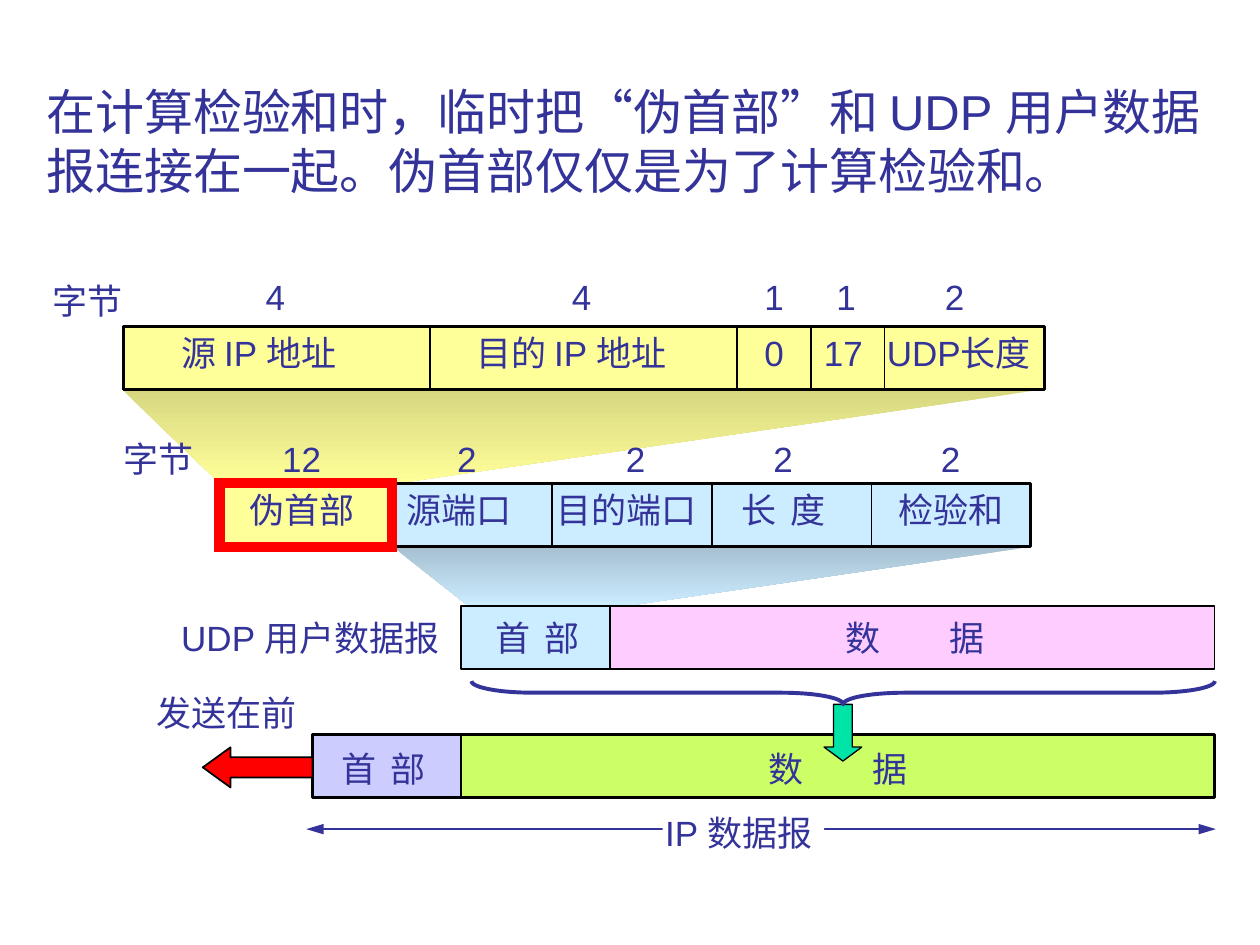
"""Build the slide on the UDP pseudo header and its place in an IP datagram."""
from pptx import Presentation
from pptx.dml.color import RGBColor
from pptx.enum import dml, shapes, text
from pptx.oxml import parse_xml
from pptx.oxml.ns import nsdecls, qn
from pptx.util import Pt

INK, BLACK = "333399", "000000"
YELLOW, BLUE = "FFFF99", "CCECFF"
SHAPE = shapes.MSO_SHAPE

TITLE = [
    ("在计算检验和时，临时把“伪首部”和 UDP 用户数据报连接在一起。", "Arial"),
    ("伪首部仅仅是为了计算检验和。", "Lato"),
]
ROW_H = 36
PSEUDO_TOP, UDP_TOP, USER_TOP, IP_TOP = 186.5, 276.5, 346.3, 419.8
PSEUDO_LEFT, PSEUDO_W = 70.5, 526.3
UDP_LEFT, UDP_W, UDP_CELL = 224, 365, 91.4
NARROW_GAP, WIDE_GAP = 3.5, 35
SLACK = 2

BANDS = [
    (178.6, IP_TOP, 85, "CCCCFF", 1.5),
    (263.5, USER_TOP, 85, BLUE, 1),
    (UDP_LEFT, UDP_TOP, UDP_W, BLUE, 1.5),
    (263.5, IP_TOP, 430.6, "CCFF66", 1.5),
    (PSEUDO_LEFT, PSEUDO_TOP, PSEUDO_W, YELLOW, 1.5),
    (348.5, USER_TOP, 345.6, "FFCCFF", 1),
]
FUNNELS = [
    ([(224.6, 312.5), (589, 312.5), (357.8, 346.3), (267.8, 346.3)], "A6C0D0", BLUE),
    ([(69.8, 222.5), (596.2, 222.5), (224.6, 276.5), (126, 276.5)], "D7D781", YELLOW),
]
DIVIDERS = {
    PSEUDO_TOP: [245.7, 421.2, 463.5, 505.5],
    UDP_TOP: [UDP_LEFT + UDP_CELL * i for i in (1, 2, 3)],
}
LABELS = {
    154.1: [("4", 144.7, 25.2), ("4", 319.7, 25.2), ("1", 429.8, 25.2),
            ("1", 470.9, 25.2), ("2", 532.8, 25.2)],
    156.2: [("字节", 23, 54.4)],
    185.8: [("源 IP 地址", 96.5, 113), ("目的 IP 地址", 265, 133.2), ("0", 429.8, 25.2),
            ("17", 463.7, 36.7), ("UDP长度", 499.7, 101.5)],
    246.6: [("字节", 63.4, 54.4), ("12", 154.1, 36.7), ("2", 254.2, 25.2),
            ("2", 350.6, 25.2), ("2", 434.9, 25.2), ("2", 530.6, 25.2)],
    275.8: [("伪首部", 135.4, 74.4), ("源端口", 225.4, 74.4), ("目的端口", 311, 94.4),
            ("长 度", 416.9, 63.6, NARROW_GAP), ("检验和", 506.2, 74.4)],
    348.8: [("UDP 用户数据报", 96.5, 167), ("首 部", 275.8, 63.6, NARROW_GAP),
            ("数 据", 475.9, 95, WIDE_GAP)],
    391.7: [("发送在前", 82.1, 94.4)],
    423.4: [("首 部", 187.9, 63.6, NARROW_GAP), ("数 据", 432, 95, WIDE_GAP)],
    460.1: [("IP 数据报", 373, 103.7)],
}

prs = Presentation()
prs.slide_width, prs.slide_height = Pt(720), Pt(540)
s = prs.slides.add_slide(prs.slide_layouts[6])


def rgb(color):
    return RGBColor.from_string(color)


def paint(sp, fill=None, line=None, width=1.0):
    sp.shadow.inherit = False
    if fill:
        sp.fill.solid()
        sp.fill.fore_color.rgb = rgb(fill)
    else:
        sp.fill.background()
    if line:
        sp.line.color.rgb = rgb(line)
        sp.line.width = Pt(width)
    else:
        sp.line.fill.background()


def add_box(kind, x, y, w, h, fill=None, line=None, width=1.0):
    sp = s.shapes.add_shape(kind, Pt(x), Pt(y), Pt(w), Pt(h))
    paint(sp, fill, line, width)
    return sp


def add_outline(points, close):
    corners = [(Pt(x), Pt(y)) for x, y in points]
    builder = s.shapes.build_freeform(*corners[0], scale=1.0)
    builder.add_line_segments(corners[1:], close=close)
    return builder.convert_to_shape()


def add_line(x1, y1, x2, y2, color, arrows=False):
    line = s.shapes.add_connector(
        shapes.MSO_CONNECTOR.STRAIGHT, Pt(x1), Pt(y1), Pt(x2), Pt(y2))
    line.line.color.rgb = rgb(color)
    line.line.width = Pt(0.75)
    if arrows:
        ln = line.line._get_or_add_ln()
        for end in ("headEnd", "tailEnd"):
            ln.append(parse_xml(f'<a:{end} {nsdecls("a")} type="triangle" len="lg"/>'))
    line._element.spPr.append(parse_xml(f'<a:effectLst {nsdecls("a")}/>'))


def add_text(runs, x, y, w, h, size, wrap=False, gap=0):
    tf = s.shapes.add_textbox(Pt(x), Pt(y), Pt(w), Pt(h)).text_frame
    tf.word_wrap = wrap
    tf.auto_size = text.MSO_AUTO_SIZE.SHAPE_TO_FIT_TEXT
    p = tf.paragraphs[0]
    for words, font in runs:
        r = p.add_run()
        r.text = words
        r.font.size, r.font.name = Pt(size), font
        r.font.color.rgb = rgb(INK)
        if gap and words == " ":
            r._r.find(qn("a:rPr")).set("spc", str(int(gap * 100)))


for points, top_color, bottom_color in FUNNELS:
    funnel = add_outline(points, True)
    paint(funnel)
    funnel.fill.gradient()
    funnel.fill.gradient_angle = 270
    for stop, position, color in zip(
            funnel.fill.gradient_stops, (0, 1), (top_color, bottom_color)):
        stop.position, stop.color.rgb = position, rgb(color)

for x, y, w, fill, width in BANDS:
    add_box(SHAPE.RECTANGLE, x, y, w, ROW_H, fill, BLACK, width)

for top, xs in DIVIDERS.items():
    for x in xs:
        add_line(x, top, x, top + ROW_H, BLACK)

pseudo = add_outline([(224.6, 312.5), (126, 312.5), (126, 276.5), (224.6, 276.5)], False)
paint(pseudo, YELLOW, BLACK, 1.5)
pseudo.line.dash_style = dml.MSO_LINE.DASH

send_arrow = add_box(SHAPE.LEFT_ARROW, 115.9, 427, 62.7, 23, "FF0000", BLACK)
send_arrow.adjustments[1] = 0.69
down_arrow = add_box(SHAPE.DOWN_ARROW, 470.9, 402.5, 21.6, 32.4, "00E4A8", BLACK, 0.75)
down_arrow.adjustments[1] = 0.37
brace = add_box(SHAPE.LEFT_BRACE, 475.2, 183.4, 13.3, 424.8, None, INK, 2.25)
brace.rotation = 270
brace.adjustments[0] = 2.66

add_line(175, 473.8, 694.8, 473.8, INK, arrows=True)
add_box(SHAPE.RECTANGLE, 378.7, 461.5, 92.2, 23, "FFFFFF")

for top, labels in LABELS.items():
    for words, x, w, *gap in labels:
        parts = words.partition(" ") if gap else [words]
        add_text([(part, "Arial") for part in parts], x, top, w + SLACK, 31.7, 20,
                 gap=gap[0] if gap else 0)

frame = add_box(SHAPE.RECTANGLE, 125.6, 276, 98.6, 36.5, None, "FF0000", 6)
frame.line._get_or_add_ln().append(parse_xml(f'<a:miter {nsdecls("a")} lim="800000"/>'))
add_text(TITLE, 19.4, 43.2, 683.3, 74.9, 28, wrap=True)

prs.save("out.pptx")
